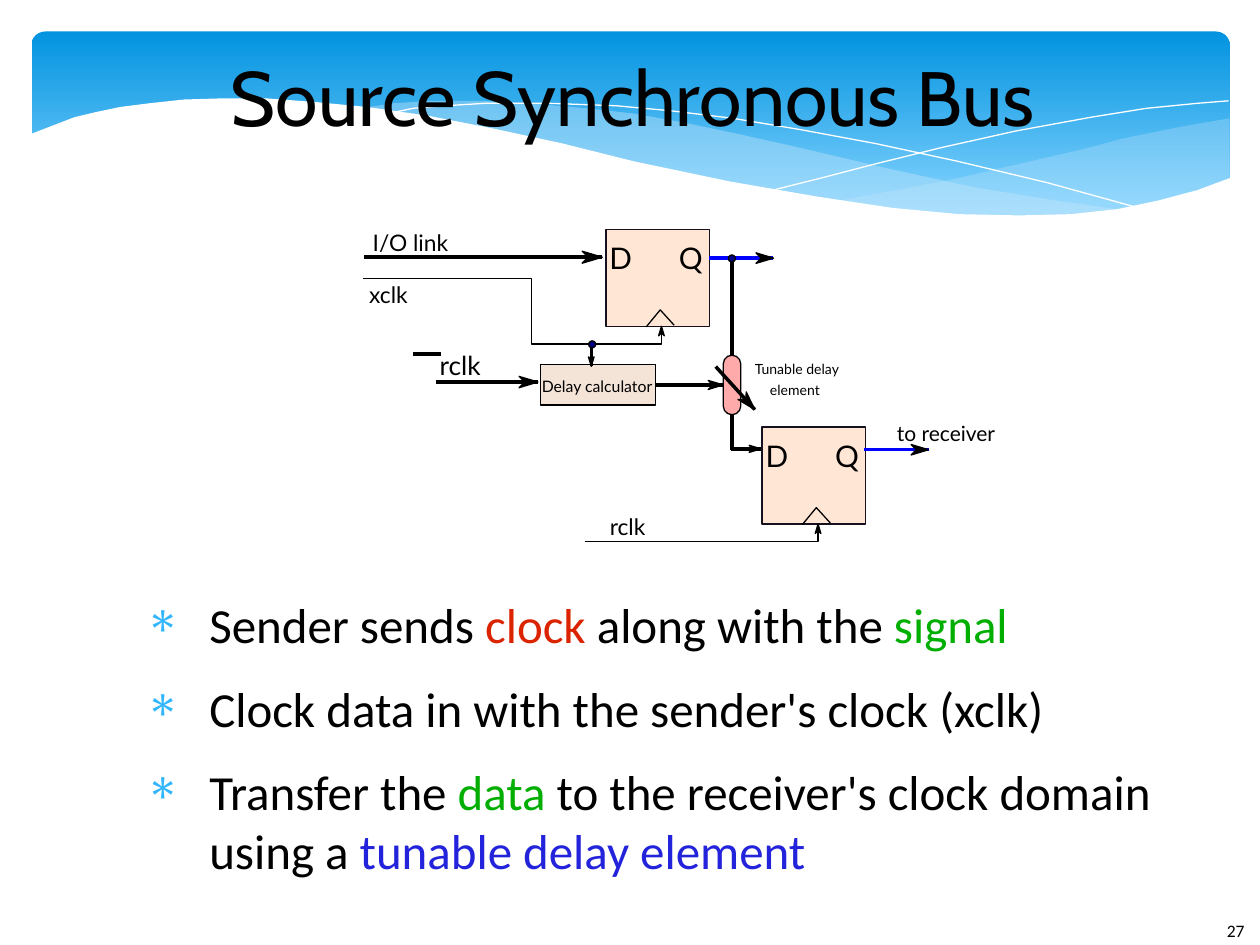
"""Build the Source Synchronous Bus slide."""
import math

import lxml.etree
import pptx
import pptx.dml.color
import pptx.enum.shapes
import pptx.enum.text
import pptx.oxml.ns
import pptx.util

Pt = pptx.util.Pt
SHAPES = pptx.enum.shapes.MSO_SHAPE
BLACK, WHITE, BLUE, NAVY = "000000", "FFFFFF", "0000FF", "000080"
SKY, PEACH, GREEN = "C6E7FC", "FFE6D5", "00AE00"

RIGHT_RIBBON = [
    (702, 67.7), (673.2, 72.7), (641.5, 79.2), (619.9, 85), (579.6, 94.3), (542.2, 103),
    (508.3, 109.4), (475.9, 115.2), (507.6, 118.8), (536.4, 121.7), (570.2, 123.8),
    (601.2, 123.8), (627.8, 121.7), (651.6, 117.4), (673.2, 112.3), (693.4, 105.8),
    (702.7, 101.5), (702.7, 67.7)]
LEFT_RIBBON = [
    (643, 120.2), (602.6, 114.5), (558, 107.3), (508.3, 96.5), (452.9, 83.5), (420.5, 76.3),
    (389.5, 69.8), (361.4, 64.8), (334.8, 61.9), (302.4, 59), (273.6, 57.6), (247.7, 57.6),
    (225.4, 59), (205.9, 61.9), (232.6, 64.8), (260.6, 69.8), (290.9, 76.3), (323.3, 83.5),
    (381.6, 97.2), (432.7, 108), (468, 113.8), (500.4, 118.8), (529.9, 121.7),
    (556.6, 123.8), (589, 124.6), (617, 123.1)]
FALLING_CURVE = [
    (222.5, 64.8), (236.2, 61.9), (254.2, 60.5), (278.6, 59), (311.8, 59), (352.1, 60.5),
    (383.8, 63.4), (419, 67.7), (457.9, 74.2), (500.4, 82.1), (547.2, 92.2),
    (598.3, 104.4), (653, 119.5)]
RISING_CURVE = [
    (441.4, 108.7), (470.2, 101.5), (500.4, 93.6), (538.6, 84.2), (580.3, 74.9),
    (623.5, 67), (655.2, 61.9), (684.7, 59), (702, 57.6)]
WHITE_WAVE = [
    (703.4, 101.5), (684, 108.7), (662.4, 114.5), (638.6, 119.5), (612, 122.4),
    (582.5, 123.1), (547.9, 122.4), (509.8, 118.8), (466.6, 112.3), (416.9, 103.7),
    (362.2, 92.2), (321.8, 82.1), (281.5, 73.4), (244.8, 66.2), (210.2, 61.2), (180, 58.3),
    (151.9, 56.2), (127.4, 56.2), (105.1, 56.9), (85.7, 59), (68.4, 61.2), (54.7, 64.1),
    (42.5, 67), (33.1, 70.6), (25.9, 73.4), (16.6, 77), (16.6, 161.3), (703.4, 161.3)]
BULLETS = [
    [("Sender sends ", BLACK), ("clock", "DC2300"), (" along with the ", BLACK), ("signal", GREEN)],
    [("Clock data in with the sender's clock (xclk)", BLACK)],
    [("Transfer the ", BLACK), ("data", GREEN),
     (" to the receiver's clock domain using a ", BLACK), ("tunable delay element", "2323DC")]]


def color(value):
    """Turn a hex string into a colour."""
    return pptx.dml.color.RGBColor.from_string(value)


def add_element(parent, tag, **attributes):
    """Append a drawing element to an XML parent."""
    element = lxml.etree.SubElement(parent, pptx.oxml.ns.qn(tag))
    for name, value in attributes.items():
        element.set(name, str(value))
    return element


def paint(shape, fill=None, line=None, opacity=100):
    """Set the fill, hairline and opacity of a shape and drop its shadow."""
    shape.shadow.inherit = False
    if fill:
        shape.fill.solid()
        shape.fill.fore_color.rgb = color(fill)
        if opacity < 100:
            solid = shape.fill._xPr.find(pptx.oxml.ns.qn("a:solidFill"))
            add_element(solid[0], "a:alpha", val=opacity * 1000)
    else:
        shape.fill.background()
    if line:
        shape.line.color.rgb = color(line)
        shape.line.width = Pt(0)
    else:
        shape.line.fill.background()


def add_box(slide, kind, box, fill, line=BLACK):
    """Add a painted preset shape."""
    shape = slide.shapes.add_shape(kind, *map(Pt, box))
    paint(shape, fill, line)
    return shape


def add_outline(slide, points, fill=None, line=None, opacity=100):
    """Add a freeform, closed when it is filled."""
    vertices = [(Pt(x), Pt(y)) for x, y in points]
    builder = slide.shapes.build_freeform(*vertices[0], scale=1.0)
    builder.add_line_segments(vertices[1:], close=bool(fill))
    paint(builder.convert_to_shape(), fill, line, opacity)


def add_line(slide, start, end, line=BLACK):
    """Add a straight hairline connector."""
    connector = slide.shapes.add_connector(
        pptx.enum.shapes.MSO_CONNECTOR.STRAIGHT, *map(Pt, (*start, *end)))
    connector.line.color.rgb = color(line)
    connector.line.width = Pt(0)
    add_element(connector._element.spPr, "a:effectLst")
    return connector


def add_arrow(slide, points, head, line=BLACK):
    """Add a straight or bent wire ending in a notched head of the given length."""
    wire = None
    if len(points) == 2:
        wire = add_line(slide, *points, line)
    else:
        add_outline(slide, points, line=line)
    (x1, y1), (x2, y2) = points[-2:]
    angle = math.atan2(y2 - y1, x2 - x1)
    along, across = math.cos(angle), math.sin(angle)
    corners = [(0.7, 0), (1, 0.3), (0, 0), (1, -0.3)]
    outline = [(x2 - head * (back * along + side * across),
                y2 - head * (back * across - side * along)) for back, side in corners]
    add_outline(slide, outline, BLACK, BLACK)
    return wire


def add_text(slide, box, paragraphs, size, font="Lato", wrap=False, margins=(0, 0)):
    """Add a text box whose paragraphs are lists of (text, colour) runs."""
    frame = slide.shapes.add_textbox(*map(Pt, box)).text_frame
    frame.word_wrap = wrap
    frame.margin_left = frame.margin_right = Pt(margins[0])
    frame.margin_top = frame.margin_bottom = Pt(margins[1])
    for index, runs in enumerate(paragraphs):
        paragraph = frame.add_paragraph() if index else frame.paragraphs[0]
        for text, value in runs:
            run = paragraph.add_run()
            run.text = text
            run.font.size, run.font.name = Pt(size), font
            run.font.color.rgb = color(value)
    return frame


def add_flip_flop(slide, left, top):
    """Add a D flip-flop with its clock notch."""
    add_box(slide, SHAPES.RECTANGLE, (left, top, 59, 55.5), PEACH, "15111D")
    for name, offset in (("D", 2), ("Q", 41.7)):
        add_text(slide, (left + offset, top + 6.2, 20, 23), [[(name, BLACK)]], 17)
    notch = [(23, 55.8), (31, 46.1), (39, 54.9)]
    add_outline(slide, [(left + x, top + y) for x, y in notch], line=BLACK)


def add_banner(slide):
    """Add the gradient banner and its waves."""
    banner = add_box(slide, SHAPES.ROUNDED_RECTANGLE, (18, 18, 684.7, 112.3), SKY, None)
    banner.adjustments[0] = 0.07
    banner.fill.gradient()
    banner.fill.gradient_angle = 270
    stops = zip(banner.fill.gradient_stops, ((0, "0293E0"), (0.9, "83D3FE")))
    for stop, (position, value) in stops:
        stop.position, stop.color.rgb = position, color(value)
    add_outline(slide, RIGHT_RIBBON, SKY, opacity=29)
    add_outline(slide, LEFT_RIBBON, SKY, opacity=40)
    for curve in (FALLING_CURVE, RISING_CURVE):
        add_outline(slide, curve, line=WHITE)
    add_outline(slide, WHITE_WAVE, WHITE)


def add_circuit(slide):
    """Add the bus circuit with its wires and labels."""
    add_flip_flop(slide, 346.3, 131)
    add_flip_flop(slide, 435.5, 244)
    add_line(slide, (418.3, 147), (418.3, 257))
    element = add_box(slide, SHAPES.ROUNDED_RECTANGLE, (413.3, 203, 10, 34), "FFAAAA")
    element.adjustments[0] = 0.5
    calculator = add_box(slide, SHAPES.RECTANGLE, (308.9, 208.5, 65.5, 23), "F4E3D7")
    feed = add_arrow(slide, [(374.4, 220), (413.3, 220)], 8.6)
    feed.begin_connect(calculator, 3)
    feed.end_connect(element, 1)
    add_line(slide, (236.2, 202.3), (252, 202.3))
    arrows = [
        ([(208, 147), (344.2, 147)], 11.5, BLACK),
        ([(405.4, 147.5), (442, 147.5)], 10, BLUE),
        ([(409, 209.5), (431.3, 234)], 10.7, BLACK),
        ([(207.4, 159), (303.8, 159), (303.8, 196.6), (378, 196.6), (378, 186.5)], 5.4, BLACK),
        ([(337.9, 196.6), (337.9, 209.3)], 5.4, BLACK),
        ([(417.7, 256.5), (434.9, 256.5)], 6.8, BLACK),
        ([(334.1, 309.5), (467.5, 309.5), (467.5, 299.5)], 5.4, BLACK),
        ([(494, 257), (530.6, 257)], 10, BLUE),
        ([(249.1, 218.3), (307.4, 218.3)], 10.8, BLACK)]
    for points, head, line in arrows:
        add_arrow(slide, points, head, line)
    for x, y in ((338.4, 196.8), (418.2, 147.7)):
        add_box(slide, SHAPES.OVAL, (x - 2, y - 2, 4, 4), NAVY)
    labels = [
        ("I/O link", 213, 131, 46, 13), ("xclk", 211, 160.5, 28, 13),
        ("rclk", 251.3, 199.5, 30, 15), ("Delay calculator", 309.6, 215.3, 68, 9),
        ("Tunable delay", 431.3, 206, 54, 8), ("element", 440, 218, 32, 8),
        ("rclk", 348.5, 293, 26, 13), ("to receiver", 512.6, 240.5, 66, 12)]
    for text, left, top, width, size in labels:
        add_text(slide, (left, top, width, size * 1.3), [[(text, BLACK)]], size)


def add_bullets(slide):
    """Add the bulleted explanation."""
    frame = add_text(slide, (74.2, 339.8, 604, 140.4), BULLETS, 28, "Calibri", True)
    for paragraph in frame.paragraphs:
        paragraph.space_after = Pt(14.1)
        properties = paragraph._p.get_or_add_pPr()
        properties.set("marL", str(Pt(45.4)))
        properties.set("indent", str(Pt(-36.7)))
        add_element(add_element(properties, "a:buClr"), "a:srgbClr", val="31B6FD")
        add_element(properties, "a:buChar", char="∗")


def main():
    """Build and save the slide."""
    presentation = pptx.Presentation()
    presentation.slide_width, presentation.slide_height = Pt(720), Pt(540)
    slide = presentation.slides.add_slide(presentation.slide_layouts[6])
    add_banner(slide)
    add_text(slide, (694, 522, 44, 29), [[("27", BLACK)]], 10, "Calibri", margins=(7.2, 3.6))
    title = add_text(slide, (69.8, 18, 584, 73.4), [[("Source Synchronous Bus", BLACK)]],
                     44, "Cabin", True)
    title.vertical_anchor = pptx.enum.text.MSO_ANCHOR.MIDDLE
    title.paragraphs[0].alignment = pptx.enum.text.PP_ALIGN.CENTER
    add_circuit(slide)
    add_bullets(slide)
    presentation.save("out.pptx")


if __name__ == "__main__":
    main()
